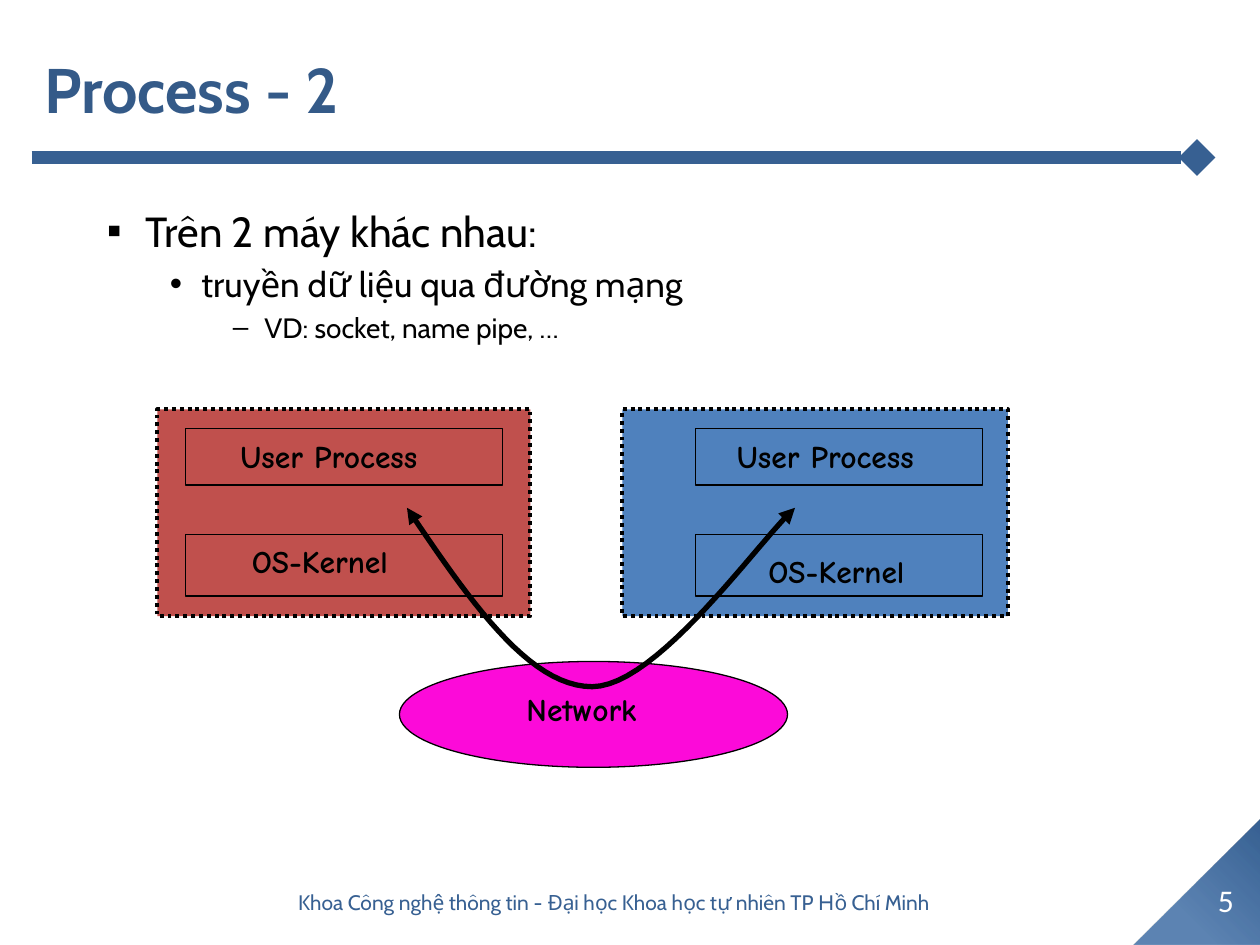
from dataclasses import dataclass
from typing import NamedTuple

from lxml.etree import SubElement
from pptx import Presentation
from pptx.dml.color import RGBColor
from pptx.enum.dml import MSO_LINE
from pptx.enum.shapes import MSO_CONNECTOR, MSO_SHAPE
from pptx.enum.text import MSO_ANCHOR, PP_ALIGN
from pptx.oxml import parse_xml
from pptx.oxml.ns import nsdecls, qn
from pptx.util import Inches, Pt


@dataclass(frozen=True)
class Theme:
    navy: str = "376092"
    title: str = "345A88"
    black: str = "000000"
    white: str = "FFFFFF"
    red: str = "C0504D"
    blue: str = "4F81BD"
    magenta: str = "FC0AD9"
    glow: str = "3D6CA4"
    text_font: str = "Cabin"
    label_font: str = "Comic Neue"
    number_font: str = "Calibri"
    title_size: float = 36
    label_size: float = 18
    footer_size: float = 12
    thin: float = 0.75
    dotted: float = 2.25
    arrow: float = 3
    rule: float = 7


THEME = Theme()


class Area(NamedTuple):
    left: float
    top: float
    width: float
    height: float


class Style(NamedTuple):
    font: str
    size: float
    color: str
    bold: bool = False


class Bullet(NamedTuple):
    text: str
    mark: str
    size: float
    margin: float
    indent: float


class Machine(NamedTuple):
    frame: Area
    color: str
    part_left: float
    part_width: float
    process_label: Area
    kernel_label: Area


LABEL = Style(THEME.label_font, THEME.label_size, THEME.black, True)
BULLETS = [
    Bullet("Trên 2 máy khác nhau:", "▪", 24, 0.81, -0.31),
    Bullet("truyền dữ liệu qua đường mạng", "•", 20, 1.25, -0.25),
    Bullet("VD: socket, name pipe, …", "–", 16, 1.75, -0.25),
]
MACHINES = [
    Machine(Area(1.25, 3.25, 2.96, 1.64), THEME.red, 1.47, 2.52,
            Area(1.81, 3.42, 1.85, 0.4), Area(1.9, 4.25, 1.85, 0.4)),
    Machine(Area(4.94, 3.25, 3.06, 1.64), THEME.blue, 5.52, 2.28,
            Area(5.75, 3.42, 1.91, 0.4), Area(6, 4.33, 1.68, 0.4)),
]
CURVES = [
    ((3.23, 4.03), (3.71, 4.74), (4.19, 5.45), (4.7, 5.45)),
    ((4.7, 5.45), (5.22, 5.45), (6.04, 4.27), (6.31, 4.03)),
]
CURVE_STEPS = 24


def to_inches(area: Area) -> list:
    return [Inches(value) for value in area]


def format_paragraph(para, style: Style, align=PP_ALIGN.LEFT) -> None:
    para.alignment = align
    for span in para.runs:
        span.font.name = style.font
        span.font.size = Pt(style.size)
        span.font.bold = style.bold
        span.font.color.rgb = RGBColor.from_string(style.color)


def add_text(page, area: Area, text: str, style: Style,
             align=PP_ALIGN.LEFT, anchor=MSO_ANCHOR.TOP) -> None:
    box = page.shapes.add_textbox(*to_inches(area))
    box.text_frame.word_wrap = True
    box.text_frame.vertical_anchor = anchor
    box.text_frame.text = text
    format_paragraph(box.text_frame.paragraphs[0], style, align)


def set_line(shape, color: str, width: float) -> None:
    shape.line.color.rgb = RGBColor.from_string(color)
    shape.line.width = Pt(width)


def add_outlined(page, kind, area: Area, color: str, width: float = THEME.thin):
    shape = page.shapes.add_shape(kind, *to_inches(area))
    shape.shadow.inherit = False
    shape.fill.solid()
    shape.fill.fore_color.rgb = RGBColor.from_string(color)
    set_line(shape, THEME.black, width)
    return shape


def add_line_ends(shape, **ends: str) -> None:
    outline = shape.line._get_or_add_ln()
    for name, kind in ends.items():
        SubElement(outline, qn(f"a:{name}"), type=kind)


def add_corner(page) -> None:
    corner = page.shapes.add_shape(MSO_SHAPE.RIGHT_TRIANGLE, *to_inches(Area(9, 6.5, 1, 1)))
    corner.rotation = 270
    corner.shadow.inherit = False
    corner.line.fill.background()
    gradient = parse_xml(
        f'<a:gradFill {nsdecls("a")} rotWithShape="0"><a:gsLst>'
        f'<a:gs pos="0"><a:srgbClr val="{THEME.navy}"/></a:gs>'
        f'<a:gs pos="68000"><a:srgbClr val="{THEME.glow}"><a:alpha val="83000"/></a:srgbClr></a:gs>'
        '</a:gsLst><a:path path="circle"><a:fillToRect l="100000" b="100000"/></a:path></a:gradFill>'
    )
    corner._element.spPr.find(qn("a:prstGeom")).addnext(gradient)


def add_rule(page) -> None:
    rule = page.shapes.add_connector(
        MSO_CONNECTOR.STRAIGHT, Inches(0.25), Inches(1.25), Inches(9.5), Inches(1.25))
    set_line(rule, THEME.navy, THEME.rule)
    add_line_ends(rule, tailEnd="diamond")
    SubElement(rule._element.spPr, qn("a:effectLst"))


def set_title(page, text: str) -> None:
    title = page.shapes.title
    title.left, title.top, title.width, title.height = to_inches(Area(0.25, 0.08, 9.57, 1.25))
    title.text_frame.text = text
    title.text_frame.vertical_anchor = MSO_ANCHOR.MIDDLE
    format_paragraph(title.text_frame.paragraphs[0],
                     Style(THEME.text_font, THEME.title_size, THEME.title, True))


def add_bullets(page, bullets: list[Bullet]) -> None:
    frame = page.shapes.add_textbox(*to_inches(Area(0.25, 1.58, 9.42, 5.33))).text_frame
    frame.word_wrap = True
    frame.text = "\n".join(bullet.text for bullet in bullets)
    for level, (para, bullet) in enumerate(zip(frame.paragraphs, bullets)):
        para.level = level
        para.space_before = Pt(bullet.size * 0.2)
        format_paragraph(para, Style(THEME.text_font, bullet.size, THEME.black))
        properties = para._p.get_or_add_pPr()
        properties.set("marL", str(Inches(bullet.margin)))
        properties.set("indent", str(Inches(bullet.indent)))
        SubElement(properties, qn("a:buFont"), typeface="Arial")
        SubElement(properties, qn("a:buChar"), char=bullet.mark)


def add_machine(page, machine: Machine) -> None:
    frame = add_outlined(page, MSO_SHAPE.RECTANGLE, machine.frame, machine.color, THEME.dotted)
    frame.line.dash_style = MSO_LINE.ROUND_DOT
    for top, height in ((3.4, 0.45), (4.24, 0.49)):
        part = Area(machine.part_left, top, machine.part_width, height)
        add_outlined(page, MSO_SHAPE.RECTANGLE, part, machine.color)
    add_text(page, machine.process_label, "User Process", LABEL)
    add_text(page, machine.kernel_label, "OS-Kernel", LABEL)


def bezier_point(curve: tuple, t: float) -> tuple:
    weights = ((1 - t) ** 3, 3 * t * (1 - t) ** 2, 3 * t ** 2 * (1 - t), t ** 3)
    return tuple(Inches(sum(w * point[axis] for w, point in zip(weights, curve)))
                 for axis in (0, 1))


def add_data_path(page) -> None:
    start = bezier_point(CURVES[0], 0)
    points = [bezier_point(curve, step / CURVE_STEPS)
              for curve in CURVES for step in range(1, CURVE_STEPS + 1)]
    builder = page.shapes.build_freeform(*start)
    builder.add_line_segments(points, close=False)
    path = builder.convert_to_shape()
    path.shadow.inherit = False
    path.fill.background()
    set_line(path, THEME.black, THEME.arrow)
    add_line_ends(path, headEnd="triangle", tailEnd="triangle")


def main() -> None:
    deck = Presentation()
    deck.slide_width, deck.slide_height = Inches(10), Inches(7.5)
    page = deck.slides.add_slide(deck.slide_layouts[5])
    add_corner(page)
    add_rule(page)
    set_title(page, "Process - 2")
    add_bullets(page, BULLETS)
    for machine in MACHINES:
        add_machine(page, machine)
    add_outlined(page, MSO_SHAPE.OVAL, Area(3.17, 5.25, 3.08, 0.84), THEME.magenta)
    add_text(page, Area(4.08, 5.43, 1.52, 0.4), "Network", LABEL)
    add_data_path(page)
    add_text(page, Area(9.46, 6.94, 0.54, 0.4), "5",
             Style(THEME.number_font, THEME.label_size, THEME.white),
             PP_ALIGN.CENTER, MSO_ANCHOR.MIDDLE)
    add_text(page, Area(1.25, 6.96, 7.25, 0.4),
             "Khoa Công nghệ thông tin - Đại học Khoa học tự nhiên TP Hồ Chí Minh",
             Style(THEME.text_font, THEME.footer_size, THEME.navy),
             PP_ALIGN.CENTER, MSO_ANCHOR.MIDDLE)
    deck.save("out.pptx")


if __name__ == "__main__":
    main()
